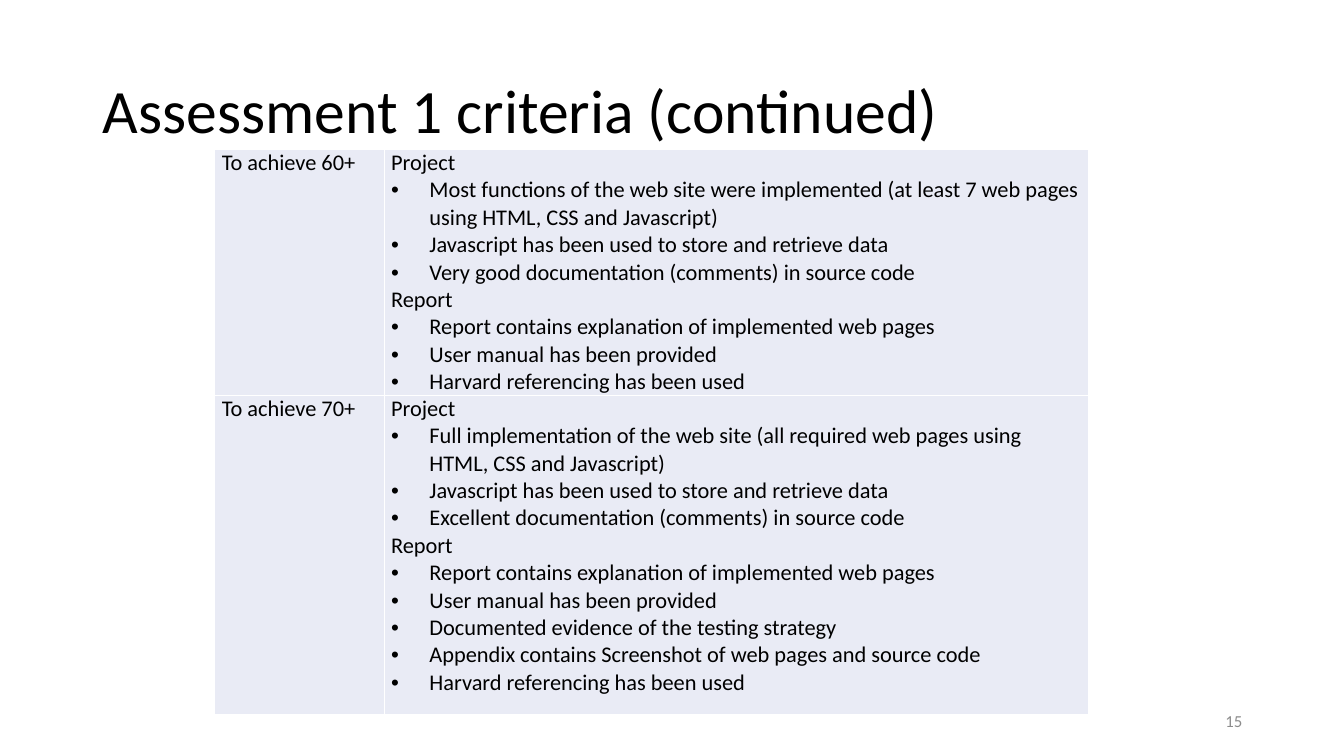
from lxml.etree import SubElement
from pptx import Presentation
from pptx.dml.color import RGBColor
from pptx.enum.text import MSO_ANCHOR, MSO_AUTO_SIZE, PP_ALIGN
from pptx.oxml import parse_xml
from pptx.oxml.ns import nsdecls, qn
from pptx.util import Pt

EMU_PER_PX = 9144  # 100 px to the inch


def px(n):
    return n * EMU_PER_PX


def rgb(hex_color):
    return RGBColor.from_string(hex_color)


class Deck:
    font, ink, muted = "Calibri", "000000", "8C8C8C"
    cell_fill, rule = "E9EBF5", "FFFFFF"

    def __init__(self, width, height):
        self.prs = Presentation()
        self.prs.slide_width, self.prs.slide_height = px(width), px(height)
        self.s = None

    def title_slide(self, text, x, y, w, h):
        self.s = self.prs.slides.add_slide(self.prs.slide_layouts[5])
        sp = self.s.shapes.title
        sp.left, sp.top, sp.width, sp.height = map(px, (x, y, w, h))
        tf = sp.text_frame
        tf.auto_size = MSO_AUTO_SIZE.NONE
        tf.vertical_anchor = MSO_ANCHOR.MIDDLE
        p = tf.paragraphs[0]
        p.alignment, p.line_spacing = PP_ALIGN.LEFT, 0.9
        self.run(p, text, 44)

    def run(self, p, text, size, color=None):
        r = p.add_run()
        r.text = text
        r.font.size, r.font.name = Pt(size), self.font
        r.font.color.rgb = rgb(color or self.ink)

    def number(self, text, x, y, w, h):
        tf = self.s.shapes.add_textbox(*map(px, (x, y, w, h))).text_frame
        tf.word_wrap = True
        tf.vertical_anchor = MSO_ANCHOR.MIDDLE
        p = tf.paragraphs[0]
        p.alignment = PP_ALIGN.RIGHT
        self.run(p, text, 12, self.muted)

    def table(self, x, y, cols, rows):
        shape = self.s.shapes.add_table(
            len(rows), len(cols), px(x), px(y), px(sum(cols)), px(sum(rows)))
        tbl = shape.table
        tbl.first_row = tbl.horz_banding = False
        for col, w in zip(tbl.columns, cols):
            col.width = px(w)
        for row, h in zip(tbl.rows, rows):
            row.height = px(h)
        for cell in tbl.iter_cells():
            self.style_cell(cell)
        return tbl

    def style_cell(self, cell):
        cell.margin_left = cell.margin_right = px(7)
        cell.margin_top = cell.margin_bottom = 0
        cell.fill.solid()
        cell.fill.fore_color.rgb = rgb(self.cell_fill)
        for i, side in enumerate("LRTB"):
            cell._tc.tcPr.insert(i, parse_xml(
                f'<a:ln{side} {nsdecls("a")} w="{Pt(1)}"><a:solidFill>'
                f'<a:srgbClr val="{self.rule}"/></a:solidFill></a:ln{side}>'))

    def label(self, cell, text):
        p = cell.text_frame.paragraphs[0]
        p.space_before, p.space_after = Pt(1.5), Pt(2)
        self.run(p, text, 16)

    def criteria(self, cell, sections):
        tf = cell.text_frame
        p = tf.paragraphs[0]
        for i, (heading, items) in enumerate(sections.items()):
            if i:
                p = tf.add_paragraph()
            self.run(p, heading, 16)
            for item in items:
                p = tf.add_paragraph()
                self.bullet(p)
                self.run(p, item, 16)

    def bullet(self, p):
        pPr = p._p.get_or_add_pPr()
        pPr.set("marL", str(px(38)))
        pPr.set("indent", str(px(-38)))
        SubElement(pPr, qn("a:buFont")).set("typeface", "Arial")
        SubElement(pPr, qn("a:buChar")).set("char", "•")


STORED = "Javascript has been used to store and retrieve data"
EXPLAINED = "Report contains explanation of implemented web pages"
MANUAL = "User manual has been provided"
HARVARD = "Harvard referencing has been used"

GRADES = {
    "To achieve 60+": {
        "Project": [
            "Most functions of the web site were implemented "
            "(at least 7 web pages using HTML, CSS and Javascript)",
            STORED,
            "Very good documentation (comments) in source code"],
        "Report": [EXPLAINED, MANUAL, HARVARD],
    },
    "To achieve 70+": {
        "Project": [
            "Full implementation of the web site "
            "(all required web pages using HTML, CSS and Javascript)",
            STORED,
            "Excellent documentation (comments) in source code"],
        "Report": [
            EXPLAINED, MANUAL,
            "Documented evidence of the testing strategy",
            "Appendix contains Screenshot of web pages and source code",
            HARVARD],
    },
}


def main():
    deck = Deck(1333, 750)

    # Title and page number
    deck.title_slide("Assessment 1 criteria (continued)", 92, 40, 1150, 145)
    deck.number("15", 942, 695, 300, 40)

    # Criteria table: one row per grade
    tbl = deck.table(213, 148, cols=[168, 699], rows=[244, 317])
    for i, (grade, sections) in enumerate(GRADES.items()):
        deck.label(tbl.cell(i, 0), grade)
        deck.criteria(tbl.cell(i, 1), sections)

    deck.prs.save("out.pptx")


if __name__ == "__main__":
    main()
